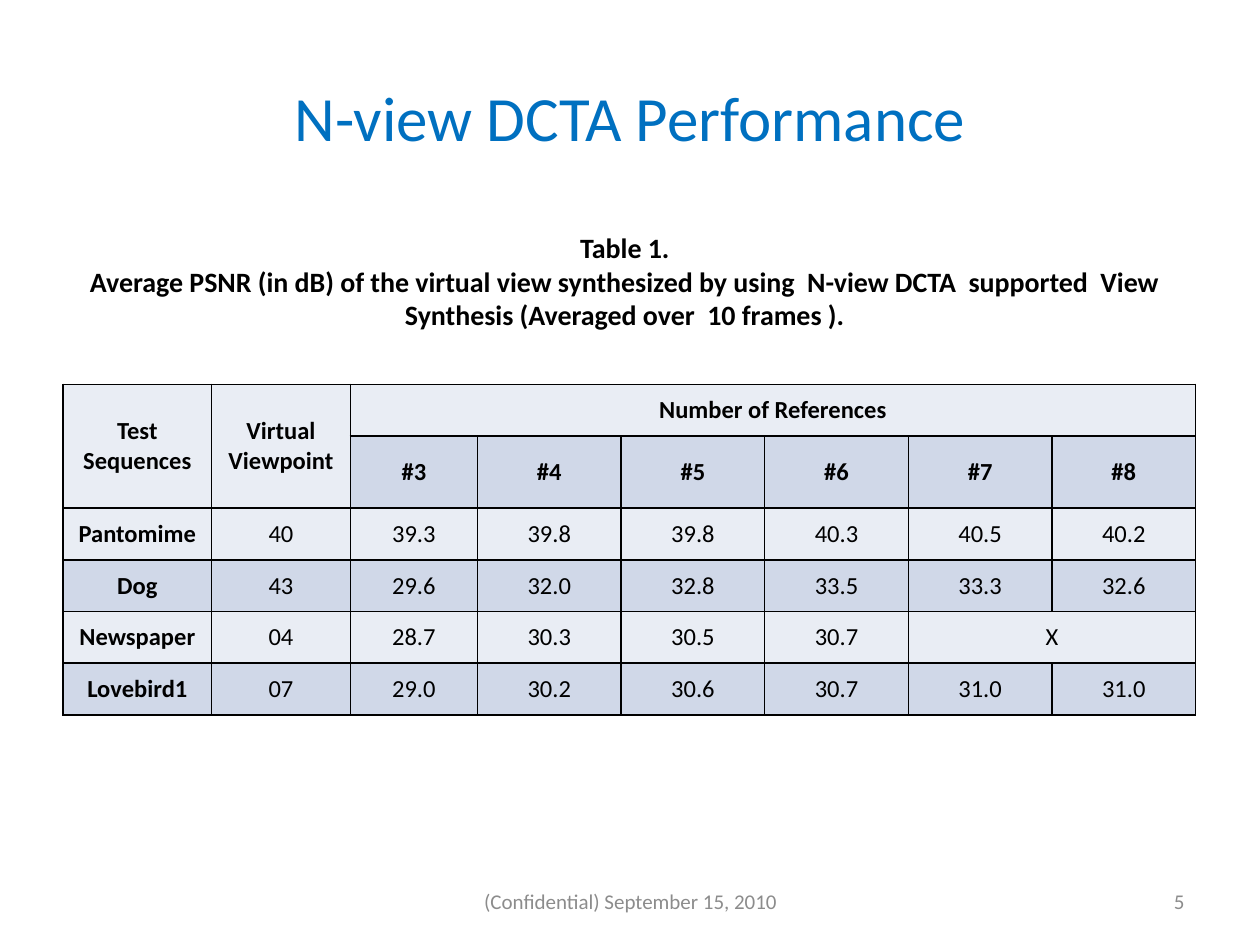
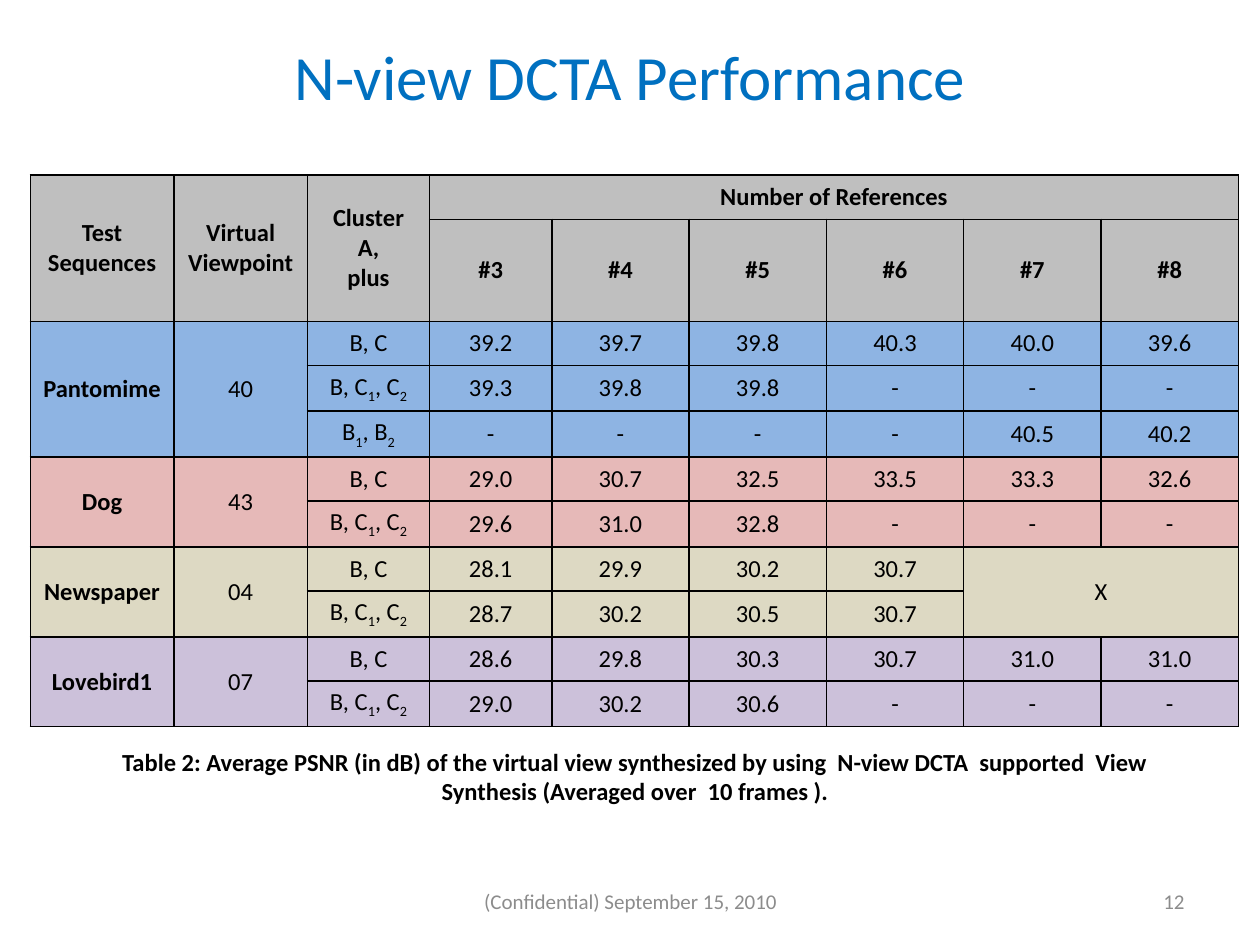
from lxml.etree import SubElement
from pptx import Presentation
from pptx.dml.color import RGBColor
from pptx.enum.text import MSO_ANCHOR, MSO_AUTO_SIZE, PP_ALIGN
from pptx.oxml.ns import qn
from pptx.util import Inches, Pt

FONT = "Calibri"
BLACK = RGBColor(0x00, 0x00, 0x00)
TITLE_BLUE = RGBColor(0x00, 0x70, 0xC0)
FOOTER_GRAY = RGBColor(0x8C, 0x8C, 0x8C)
BAND_LIGHT = RGBColor(0xE9, 0xED, 0xF4)
BAND_DARK = RGBColor(0xD0, 0xD8, 0xE8)
HEADER_GRAY = RGBColor(0xBF, 0xBF, 0xBF)
BLUE = RGBColor(0x8E, 0xB4, 0xE3)
ROSE = RGBColor(0xE6, 0xB9, 0xB8)
SAND = RGBColor(0xDD, 0xD9, 0xC3)
LILAC = RGBColor(0xCC, 0xC1, 0xDA)

TITLE = "N-view DCTA Performance"
FOOTER = "(Confidential) September 15, 2010"
CAPTION = ("Average PSNR (in dB) of the virtual view synthesized by using  N-view DCTA"
           "  supported  View Synthesis (Averaged over  10 frames ).")
HEADER_ROWS = 2
REFERENCES = ["#3", "#4", "#5", "#6", "#7", "#8"]
REFERENCES_HEAD = ["Number of References"] + ["<"] * (len(REFERENCES) - 1)
NAMES_HEAD = ["Test Sequences", "Virtual\nViewpoint"]

# "<" extends the cell on its left, "^" the cell above; "_" lowers the next character.
SLIDES = [
    {
        "number": "5",
        "title_top": 0.3,
        "caption": "Table 1.\n" + CAPTION,
        "caption_at": (0.43, 1.78, 9.06, 0.91),
        "caption_size": 16,
        "table_at": (0.5, 3.05),
        "columns": [1.18, 1.1, 1.01] + [1.14] * 5,
        "row_height": 0.41,
        "fills": [BAND_LIGHT, BAND_DARK] * 3,
        "rows": [
            NAMES_HEAD + REFERENCES_HEAD,
            ["^", "^"] + REFERENCES,
            ["Pantomime", "40", "39.3", "39.8", "39.8", "40.3", "40.5", "40.2"],
            ["Dog", "43", "29.6", "32.0", "32.8", "33.5", "33.3", "32.6"],
            ["Newspaper", "04", "28.7", "30.3", "30.5", "30.7", "X", "<"],
            ["Lovebird1", "07", "29.0", "30.2", "30.6", "30.7", "31.0", "31.0"],
        ],
    },
    {
        "number": "12",
        "title_top": -0.03,
        "caption": "Table 2: " + CAPTION,
        "caption_at": (0.51, 5.88, 9.06, 0.57),
        "caption_size": 14,
        "table_at": (0.24, 1.39),
        "columns": [1.14, 1.06, 0.97, 0.97] + [1.09] * 5,
        "row_height": 0.35,
        "fills": ([HEADER_GRAY] * 2 + [BLUE] * 3 + [ROSE] * 2
                  + [SAND] * 2 + [LILAC] * 2),
        "rows": [
            NAMES_HEAD + ["Cluster A,\nplus"] + REFERENCES_HEAD,
            ["^", "^", "^"] + REFERENCES,
            ["Pantomime", "40", "B, C", "39.2", "39.7", "39.8", "40.3", "40.0", "39.6"],
            ["^", "^", "B, C_1, C_2", "39.3", "39.8", "39.8", "-", "-", "-"],
            ["^", "^", "B_1, B_2", "-", "-", "-", "-", "40.5", "40.2"],
            ["Dog", "43", "B, C", "29.0", "30.7", "32.5", "33.5", "33.3", "32.6"],
            ["^", "^", "B, C_1, C_2", "29.6", "31.0", "32.8", "-", "-", "-"],
            ["Newspaper", "04", "B, C", "28.1", "29.9", "30.2", "30.7", "X", "<"],
            ["^", "^", "B, C_1, C_2", "28.7", "30.2", "30.5", "30.7", "^", "<"],
            ["Lovebird1", "07", "B, C", "28.6", "29.8", "30.3", "30.7", "31.0", "31.0"],
            ["^", "^", "B, C_1, C_2", "29.0", "30.2", "30.6", "-", "-", "-"],
        ],
    },
]


def write(frame, text, size=14, color=BLACK, bold=False, align=PP_ALIGN.CENTER):
    """Fill a text frame, one paragraph a line, with "_" marking subscripts."""
    for index, line in enumerate(text.split("\n")):
        para = frame.add_paragraph() if index else frame.paragraphs[0]
        para.alignment = align
        first, *others = line.split("_")
        pieces = [(first, False)]
        for other in others:
            pieces += [(other[0], True), (other[1:], False)]
        for piece, lowered in pieces:
            if not piece:
                continue
            span = para.add_run()
            span.text = piece
            span.font.name = FONT
            span.font.size = Pt(size)
            span.font.bold = bold
            span.font.color.rgb = color
            if lowered:
                span._r.get_or_add_rPr().set("baseline", "-25000")


def add_text(page, text, at, anchor=MSO_ANCHOR.MIDDLE, grow=False, **style):
    """Add a wrapping text box at (left, top, width, height) in inches."""
    box = page.shapes.add_textbox(*(Inches(length) for length in at))
    frame = box.text_frame
    frame.word_wrap = True
    frame.vertical_anchor = anchor
    frame.auto_size = MSO_AUTO_SIZE.SHAPE_TO_FIT_TEXT if grow else MSO_AUTO_SIZE.NONE
    write(frame, text, **style)


def add_borders(cell):
    """Draw a thin black line on the four sides of a cell."""
    properties = cell._tc.get_or_add_tcPr()
    for side in ("a:lnL", "a:lnR", "a:lnT", "a:lnB"):
        line = SubElement(properties, qn(side), w=str(Pt(1)))
        SubElement(SubElement(line, qn("a:solidFill")), qn("a:srgbClr"), val=str(BLACK))


def count_marks(cells, mark):
    """Count how many cells at the start of a list equal the mark."""
    count = 0
    while count < len(cells) and cells[count] == mark:
        count += 1
    return count


def add_results(page, content):
    """Add the table of PSNR values with its merged cells."""
    rows, columns = content["rows"], content["columns"]
    left, top = content["table_at"]
    height = content["row_height"]
    table = page.shapes.add_table(
        len(rows), len(columns), Inches(left), Inches(top),
        Inches(sum(columns)), Inches(height * len(rows))).table
    table.first_row = table.horz_banding = False
    for column, width in zip(table.columns, columns):
        column.width = Inches(width)
    for row in table.rows:
        row.height = Inches(height)

    for y, values in enumerate(rows):
        for x, value in enumerate(values):
            cell = table.cell(y, x)
            add_borders(cell)
            cell.fill.solid()
            cell.fill.fore_color.rgb = content["fills"][y]
            if value in ("<", "^"):
                continue
            cell.vertical_anchor = MSO_ANCHOR.MIDDLE
            write(cell.text_frame, value, bold=y < HEADER_ROWS or x == 0)
            right = count_marks(values[x + 1:], "<")
            down = count_marks([below[x] for below in rows[y + 1:]], "^")
            if right or down:
                cell.merge(table.cell(y + down, x + right))


def add_slide(deck, content):
    """Build one slide: title, table, footer, page number and caption."""
    page = deck.slides.add_slide(deck.slide_layouts[5])
    title = page.shapes.title
    title.left, title.top = Inches(0.5), Inches(content["title_top"])
    title.width, title.height = Inches(9), Inches(1.25)
    title.text_frame.vertical_anchor = MSO_ANCHOR.MIDDLE
    write(title.text_frame, TITLE, size=36, color=TITLE_BLUE)
    add_results(page, content)
    add_text(page, FOOTER, (3.42, 6.95, 3.17, 0.4), size=12, color=FOOTER_GRAY)
    add_text(page, content["number"], (7.17, 6.95, 2.33, 0.4),
             size=12, color=FOOTER_GRAY, align=PP_ALIGN.RIGHT)
    add_text(page, content["caption"], content["caption_at"], anchor=MSO_ANCHOR.TOP,
             grow=True, size=content["caption_size"], bold=True)


deck = Presentation()
deck.slide_width, deck.slide_height = Inches(10), Inches(7.5)
for slide_content in SLIDES:
    add_slide(deck, slide_content)
deck.save("out.pptx")
